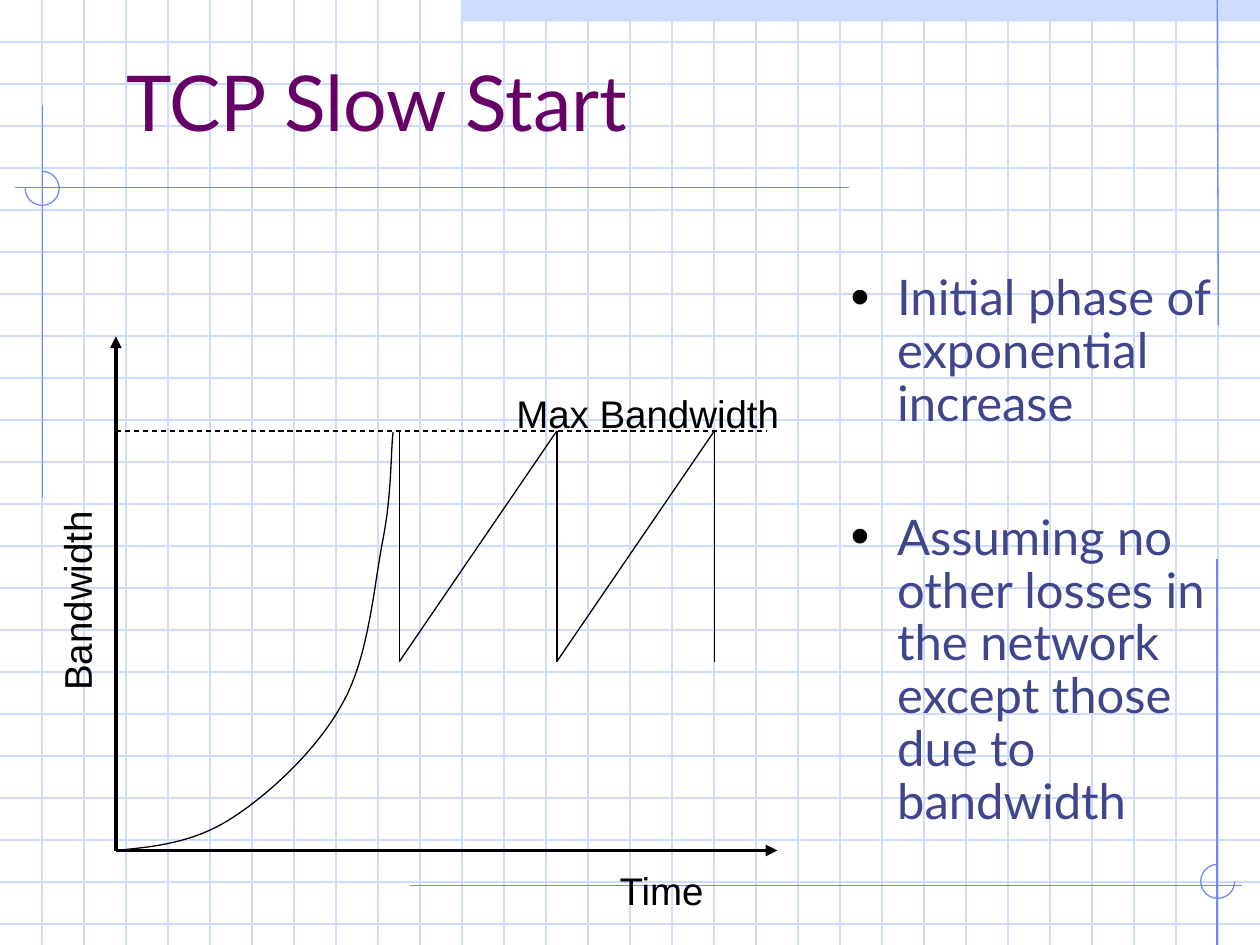
from lxml.etree import SubElement
from pptx import Presentation
from pptx.dml.color import RGBColor
from pptx.enum.dml import MSO_LINE
from pptx.enum.shapes import MSO_CONNECTOR, MSO_SHAPE
from pptx.enum.text import MSO_ANCHOR, MSO_AUTO_SIZE, PP_ALIGN
from pptx.oxml.ns import qn
from pptx.util import Inches, Pt

# Content
TITLE = "TCP Slow Start"
POINTS = [
    "Initial phase of exponential increase",
    "Assuming no other losses in the network except those due to bandwidth",
]
AXIS_LABELS = [  # text, left, top, width, rotation
    ("Time", 4.82, 6.71, 0.9, 0),
    ("Bandwidth", -0.33, 4.5, 1.66, 270),
    ("Max Bandwidth", 4, 2.92, 2.36, 0),
]

# Diagram geometry in inches
WIDTH, HEIGHT, GRID_STEP = 10, 7.5, 1 / 3
ORIGIN_X, ORIGIN_Y = 0.92, 6.75
MAX_Y, HALF_Y = 3.42, 5.25
DROPS_X = [3.17 + 1.25 * i for i in range(3)]
SLOW_START = [  # start point, then Bezier segments sharing end points
    (0.92, 6.75), (1.23, 6.72), (1.53, 6.69), (1.83, 6.5),
    (2.13, 6.31), (2.52, 5.95), (2.72, 5.58),
    (2.93, 5.21), (2.97, 4.63), (3.04, 4.28),
    (3.11, 3.92), (3.1, 3.61), (3.12, 3.43),
]
RULES = [
    (9.66, 0, 9.67, 2.58), (0.34, 0.83, 0.34, 3.95), (0.12, 1.49, 6.74, 1.49),
    (3.25, 7.03, 9.86, 7.03), (9.66, 4.44, 9.66, 7.5),
]
CORNER_ARCS = [(0.2, 1.36, 270, 180), (9.53, 6.86, 0, 270)]  # left, top, angles
ARC_SIZE = 0.27

THEME = {
    "grid": RGBColor(0xCF, 0xDB, 0xFD),
    "rule": RGBColor(0x6F, 0x89, 0xF7),
    "title": RGBColor(0x66, 0x00, 0x66),
    "body": RGBColor(0x40, 0x45, 0x8C),
    "ink": RGBColor(0, 0, 0),
    "title_size": 44, "body_size": 28, "label_size": 22,
    "thin": 0.75, "thick": 2.25,
    "text_font": "Lato", "label_font": "Arial",
}

prs = Presentation()
prs.slide_width, prs.slide_height = Inches(WIDTH), Inches(HEIGHT)
slide = prs.slides.add_slide(prs.slide_layouts[1])
shapes = slide.shapes


def add_line(x1, y1, x2, y2, color="ink", weight="thin", arrow=False):
    line = shapes.add_connector(MSO_CONNECTOR.STRAIGHT, *map(Inches, (x1, y1, x2, y2)))
    line.line.color.rgb = THEME[color]
    line.line.width = Pt(THEME[weight])
    if arrow:
        SubElement(line.line._get_or_add_ln(), qn("a:tailEnd"), type="triangle")
    SubElement(line._element.spPr, qn("a:effectLst"))
    return line


def outline(shape, color):
    shape.shadow.inherit = False
    shape.fill.background()
    shape.line.color.rgb = THEME[color]
    shape.line.width = Pt(THEME["thin"])


def style(paragraph, font, size, color, spacing):
    paragraph.alignment = PP_ALIGN.LEFT
    paragraph.line_spacing = spacing
    paragraph.font.name = THEME[font]
    paragraph.font.size = Pt(THEME[size])
    paragraph.font.color.rgb = THEME[color]


def place(placeholder, left, top, width, height, anchor):
    placeholder.left, placeholder.top = Inches(left), Inches(top)
    placeholder.width, placeholder.height = Inches(width), Inches(height)
    frame = placeholder.text_frame
    frame.margin_left = frame.margin_right = frame.margin_top = frame.margin_bottom = 0
    frame.word_wrap, frame.auto_size = True, MSO_AUTO_SIZE.NONE
    frame.vertical_anchor = anchor
    shapes._spTree.append(placeholder._element)  # bring in front of the grid
    return frame


def add_bullet(paragraph):
    props = paragraph._p.get_or_add_pPr()
    props.set("marL", str(Inches(0.37)))
    props.set("indent", str(Inches(-0.37)))
    bullet_color = SubElement(props, qn("a:buClr"))
    SubElement(bullet_color, qn("a:srgbClr"), val=str(THEME["ink"]))
    SubElement(props, qn("a:buSzPct"), val="110000")
    SubElement(props, qn("a:buFont"), typeface=THEME["label_font"])
    SubElement(props, qn("a:buChar"), char="•")


def bezier(p0, p1, p2, p3, steps=16):
    for i in range(1, steps + 1):
        t = i / steps
        u = 1 - t
        yield tuple(u**3 * a + 3 * u * u * t * b + 3 * u * t * t * c + t**3 * d
                    for a, b, c, d in zip(p0, p1, p2, p3))


# Top band and graph-paper grid
band = shapes.add_shape(MSO_SHAPE.RECTANGLE, *map(Inches, (3.66, 0, 6.34, 0.17)))
band.shadow.inherit = False
band.fill.solid()
band.fill.fore_color.rgb = THEME["grid"]
band.line.fill.background()
for row in range(1, 23):
    add_line(0, row * GRID_STEP, WIDTH, row * GRID_STEP, "grid")
for column in range(1, 30):
    add_line(column * GRID_STEP, 0, column * GRID_STEP, HEIGHT, "grid")

# Decorative rules and corner arcs
for rule in RULES:
    add_line(*rule, color="rule")
for left, top, start, end in CORNER_ARCS:
    arc = shapes.add_shape(MSO_SHAPE.ARC, *map(Inches, (left, top, ARC_SIZE, ARC_SIZE)))
    arc.adjustments[0], arc.adjustments[1] = start * 0.6, end * 0.6
    outline(arc, "rule")

# Title and bullet list
title_frame = place(shapes.title, 1, 0, 8.5, 1.57, MSO_ANCHOR.MIDDLE)
title_frame.text = TITLE
style(title_frame.paragraphs[0], "text_font", "title_size", "title", 1.04)

points_frame = place(slide.placeholders[1], 6.75, 2.17, 3, 4.5, MSO_ANCHOR.TOP)
points_frame.text = "\n".join(POINTS)
for index, point in enumerate(points_frame.paragraphs):
    add_bullet(point)
    style(point, "text_font", "body_size", "body", 0.9)
    point.space_before = Pt(46 if index else 8)

# Axes, bandwidth limit and labels
add_line(ORIGIN_X, ORIGIN_Y, ORIGIN_X, 2.67, weight="thick", arrow=True)
add_line(ORIGIN_X, ORIGIN_Y, 6.17, ORIGIN_Y, weight="thick", arrow=True)
add_line(ORIGIN_X, MAX_Y, 6.08, MAX_Y).line.dash_style = MSO_LINE.DASH
for text, left, top, width, rotation in AXIS_LABELS:
    label = shapes.add_textbox(*map(Inches, (left, top, width, 0.5)))
    label.rotation = rotation
    label.text_frame.word_wrap = False
    label.text_frame.text = text
    style(label.text_frame.paragraphs[0], "label_font", "label_size", "ink", 1.34)

# Slow-start curve, then the sawtooth
curve_points = [tuple(map(Inches, point)) for i in range(0, len(SLOW_START) - 1, 3)
                for point in bezier(*SLOW_START[i:i + 4])]
builder = shapes.build_freeform(*map(Inches, SLOW_START[0]))
builder.add_line_segments(curve_points, close=False)
outline(builder.convert_to_shape(), "ink")
for x in DROPS_X:
    add_line(x, MAX_Y, x, HALF_Y)
for low_x, peak_x in zip(DROPS_X, DROPS_X[1:]):
    add_line(low_x, HALF_Y, peak_x, MAX_Y)

prs.save("out.pptx")
